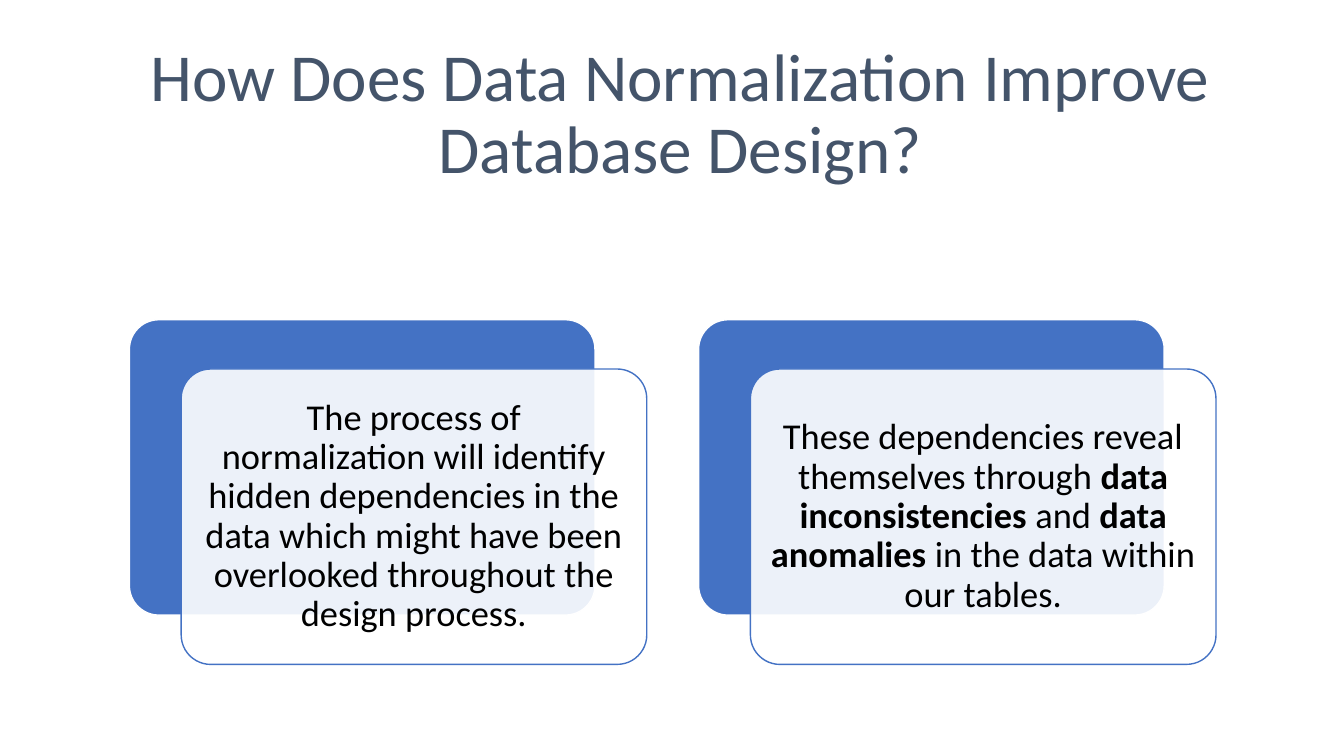
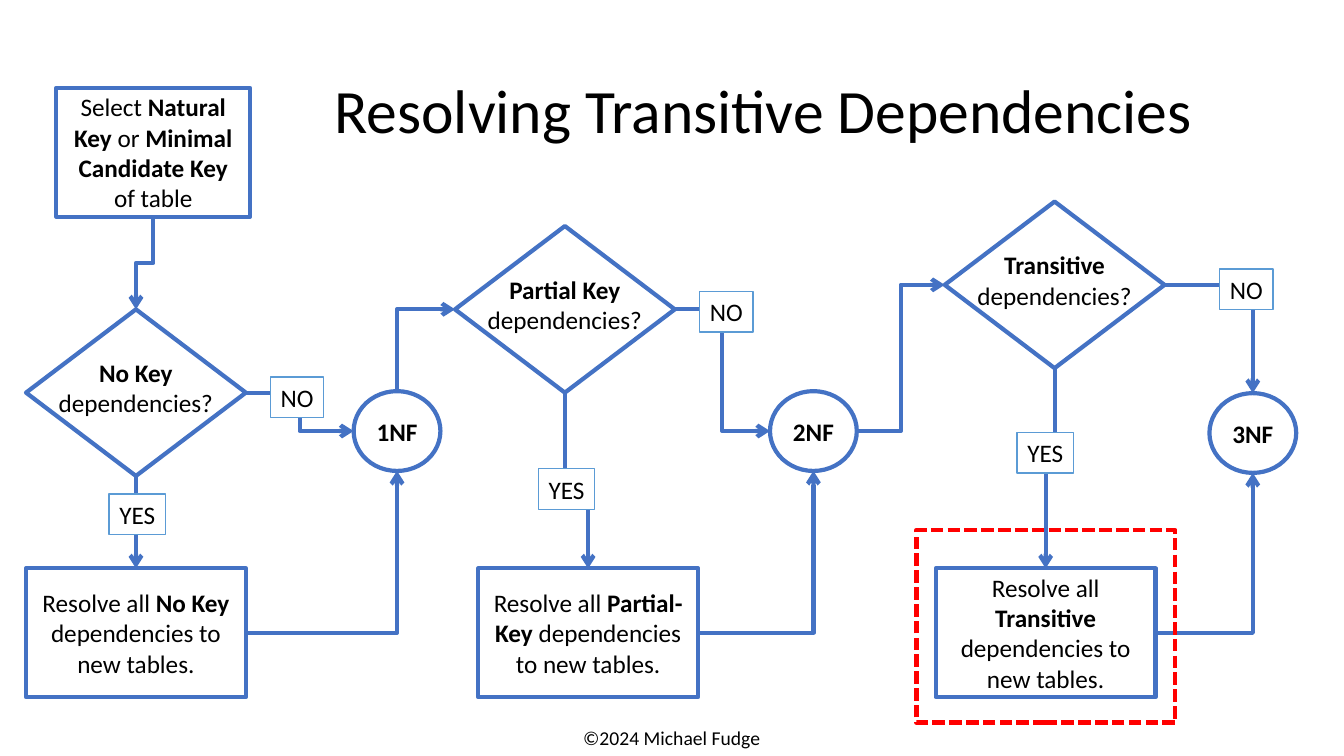
from dataclasses import dataclass

from lxml import etree
from pptx import Presentation
from pptx.dml.color import RGBColor
from pptx.enum.dml import MSO_LINE
from pptx.enum.shapes import MSO_CONNECTOR, MSO_SHAPE
from pptx.enum.text import MSO_ANCHOR, PP_ALIGN
from pptx.oxml.ns import qn
from pptx.util import Pt

RECTANGLE = MSO_SHAPE.RECTANGLE
ROUNDED = MSO_SHAPE.ROUNDED_RECTANGLE
DIAMOND = MSO_SHAPE.DIAMOND
OVAL = MSO_SHAPE.OVAL
ELBOW = MSO_CONNECTOR.ELBOW
DASH = MSO_LINE.SQUARE_DOT
MIDDLE = MSO_ANCHOR.MIDDLE
LEFT_ALIGNED = PP_ALIGN.LEFT
CENTERED = PP_ALIGN.CENTER

FONT = "Calibri"
COLORS = {
    "white": "FFFFFF",
    "black": "000000",
    "slate": "44546A",
    "blue": "4472C4",
    "sky": "5B9BD5",
    "red": "FF0000",
}
TOP, LEFT, BOTTOM, RIGHT = range(4)
SIDE_POINTS = {TOP: (0.5, 0), LEFT: (0, 0.5), BOTTOM: (0.5, 1), RIGHT: (1, 0.5)}

DIAMOND_SIZE = (157, 119)
STEP_SIZE = (157, 92)
CIRCLE_SIZE = (62, 57)
YES_SIZE = (40.4, 29)
NO_SIZE = (38.2, 29)
STEP_TOP = 406


@dataclass
class Stage:
    """One normal form: its question, its remedy and where the parts stand."""

    question: str
    remedy: str
    form: str
    origin: tuple
    step_shift: float
    circle: tuple
    yes: tuple
    no: tuple
    no_enters: int = LEFT


STAGES = [
    Stage("No Key", "Resolve all **No Key **dependencies to new tables.", "1NF",
          (18.6, 221), 0, (234, 58.4), (59.2, 131.8), (174.5, 48.3)),
    Stage("Partial Key", "Resolve all **Partial-Key **dependencies to new tables.", "2NF",
          (325, 161.5), 16.6, (225, 117.9), (59.5, 173.3), (174.7, 46.6)),
    Stage("Transitive", "Resolve all **Transitive **dependencies to new tables.", "3NF",
          (674.8, 144), -6.4, (189.1, 136.8), (51.7, 164.9), (196.4, 48.2), TOP),
]
CARDS = [
    "The process of normalization will identify hidden dependencies in the data "
    "which might have been overlooked throughout the design process.",
    "These dependencies reveal themselves through **data inconsistencies **and "
    "**data anomalies **in the data within our tables.",
]


def color(name):
    """Look up a colour of the deck."""
    return RGBColor.from_string(COLORS[name])


def write(shape, lines, size, ink="black", align=CENTERED, spacing=1, wrap=True):
    """Fill a shape with paragraphs, where ** switches bold on and off."""
    frame = shape.text_frame
    frame.word_wrap = wrap
    frame.vertical_anchor = MIDDLE
    for index, line in enumerate(lines):
        para = frame.add_paragraph() if index else frame.paragraphs[0]
        para.alignment = align
        para.line_spacing = spacing
        for position, part in enumerate(line.split("**")):
            if part:
                span = para.add_run()
                span.text = part
                span.font.name = FONT
                span.font.size = Pt(size)
                span.font.bold = position % 2 == 1
                span.font.color.rgb = color(ink)


def set_insets(shape, left, top, right, bottom):
    """Set the four text margins of a shape in points."""
    frame = shape.text_frame
    frame.margin_left, frame.margin_top = Pt(left), Pt(top)
    frame.margin_right, frame.margin_bottom = Pt(right), Pt(bottom)


def add_box(page, kind, position, size, line="blue", weight=3, fill="white"):
    """Add an outlined preset shape, filled unless fill is None."""
    box = page.shapes.add_shape(kind, *map(Pt, (*position, *size)))
    box.shadow.inherit = False
    if fill:
        box.fill.solid()
        box.fill.fore_color.rgb = color(fill)
    else:
        box.fill.background()
    box.line.color.rgb = color(line)
    box.line.width = Pt(weight)
    return box


def add_text(page, text, position, size, font_size, **style):
    """Add a text box holding one paragraph."""
    box = page.shapes.add_textbox(*map(Pt, (*position, *size)))
    write(box, [text], font_size, **style)
    return box


def add_title(page, text, position, size, font_size, **style):
    """Add a slide title with tight line spacing."""
    return add_text(page, text, position, size, font_size, spacing=0.9, **style)


def side_point(shape, side):
    """Return the middle of one side of a shape."""
    across, down = SIDE_POINTS[side]
    return shape.left + shape.width * across, shape.top + shape.height * down


def add_link(page, source, source_side, target, target_side):
    """Join two shapes with an elbow arrow that leaves and enters at right angles."""
    start_x, start_y = side_point(source, source_side)
    end_x, end_y = side_point(target, target_side)
    upright = source_side in (TOP, BOTTOM)
    run, rise = end_x - start_x, end_y - start_y
    if upright:
        run, rise = rise, -run
    middle_x, middle_y = (start_x + end_x) / 2, (start_y + end_y) / 2
    link = page.shapes.add_connector(
        ELBOW, int(middle_x - run / 2), int(middle_y - rise / 2),
        int(middle_x + run / 2), int(middle_y + rise / 2))
    link.line.color.rgb = color("blue")
    link.line.width = Pt(3)
    properties = link._element.spPr
    if upright:
        properties.find(qn("a:xfrm")).set("rot", "5400000")
    if source_side % 2 != target_side % 2:
        properties.find(qn("a:prstGeom")).set("prst", "bentConnector2")
    etree.SubElement(properties.find(qn("a:ln")), qn("a:tailEnd"), type="arrow")
    etree.SubElement(properties, qn("a:effectLst"))
    joints = link._element.find(qn("p:nvCxnSpPr")).find(qn("p:cNvCxnSpPr"))
    for tag, shape, side in (("a:stCxn", source, source_side), ("a:endCxn", target, target_side)):
        site = side * 2 if shape.auto_shape_type == OVAL else side
        etree.SubElement(joints, qn(tag), id=str(shape.shape_id), idx=str(site))


def add_card(page, text, left, top):
    """Add a blue card with a translucent text card set off in front of it."""
    size = (332.6, 211)
    back = add_box(page, ROUNDED, (left, top), size, "white", 1, "blue")
    front = add_box(page, ROUNDED, (left + 37, top + 35.2), size, "blue", 1)
    for card in (back, front):
        card.adjustments[0] = 0.1
    fill = front._element.spPr.find(qn("a:solidFill"))
    etree.SubElement(fill[0], qn("a:alpha"), val="90000")
    set_insets(front, 8, 8, 8, 8)
    write(front, [text], 26, spacing=0.9)


def add_label(page, text, position, size):
    """Add a small answer label on an arrow."""
    label = add_box(page, RECTANGLE, position, size, "sky", 1)
    write(label, [text], 18, wrap=False)


def add_stage(page, stage):
    """Add one stage and return its diamond and its circle."""
    left, top = stage.origin

    def place(offset):
        """Turn an offset within the stage into a slide position."""
        return left + offset[0], top + offset[1]

    diamond = add_box(page, DIAMOND, stage.origin, DIAMOND_SIZE)
    set_insets(diamond, 0, 0, 0, 7.2)
    write(diamond, [f"**{stage.question}**", "dependencies?"], 18, wrap=False)
    step = add_box(page, RECTANGLE, (left + stage.step_shift, STEP_TOP), STEP_SIZE)
    write(step, [stage.remedy], 18)
    circle = add_box(page, OVAL, place(stage.circle), CIRCLE_SIZE)
    set_insets(circle, 0, 0, 0, 0)
    write(circle, [f"**{stage.form}**"], 18, wrap=False)
    add_link(page, diamond, BOTTOM, step, TOP)
    add_link(page, diamond, RIGHT, circle, stage.no_enters)
    add_link(page, step, RIGHT, circle, BOTTOM)
    add_label(page, "YES", place(stage.yes), YES_SIZE)
    add_label(page, "NO", place(stage.no), NO_SIZE)
    return diamond, circle


def build_benefits(page):
    """Build the slide with two cards under a centred title."""
    add_title(page, "How Does Data Normalization Improve Database Design?",
              (46.8, 25.2), (878.4, 115.2), 48, ink="slate")
    for index, text in enumerate(CARDS):
        add_card(page, text, 92.4 + index * 406.6, 228.4)


def build_flowchart(page):
    """Build the slide with the flow through the three normal forms."""
    add_text(page, "©2024 Michael Fudge", (408.2, 514.8), (143.3, 24.5), 14, wrap=False)
    add_title(page, "Resolving Transitive Dependencies",
              (231.8, 28.8), (662.4, 104.4), 44, align=LEFT_ALIGNED)
    start = add_box(page, RECTANGLE, (40.3, 62.8), (138.4, 92))
    write(start, ["Select **Natural Key** or **Minimal Candidate Key **of table"], 18)
    (first, form_1), (second, form_2), (third, _) = [add_stage(page, stage) for stage in STAGES]
    add_link(page, start, BOTTOM, first, TOP)
    add_link(page, form_1, TOP, second, LEFT)
    add_link(page, form_2, RIGHT, third, LEFT)
    frame = add_box(page, RECTANGLE, (654.6, 378.6), (185, 137.6), "red", fill=None)
    frame.line.dash_style = DASH


def main():
    """Build and save the deck."""
    deck = Presentation()
    deck.slide_width, deck.slide_height = Pt(960), Pt(540)
    for build in (build_benefits, build_flowchart):
        build(deck.slides.add_slide(deck.slide_layouts[6]))
    deck.save("out.pptx")


if __name__ == "__main__":
    main()
